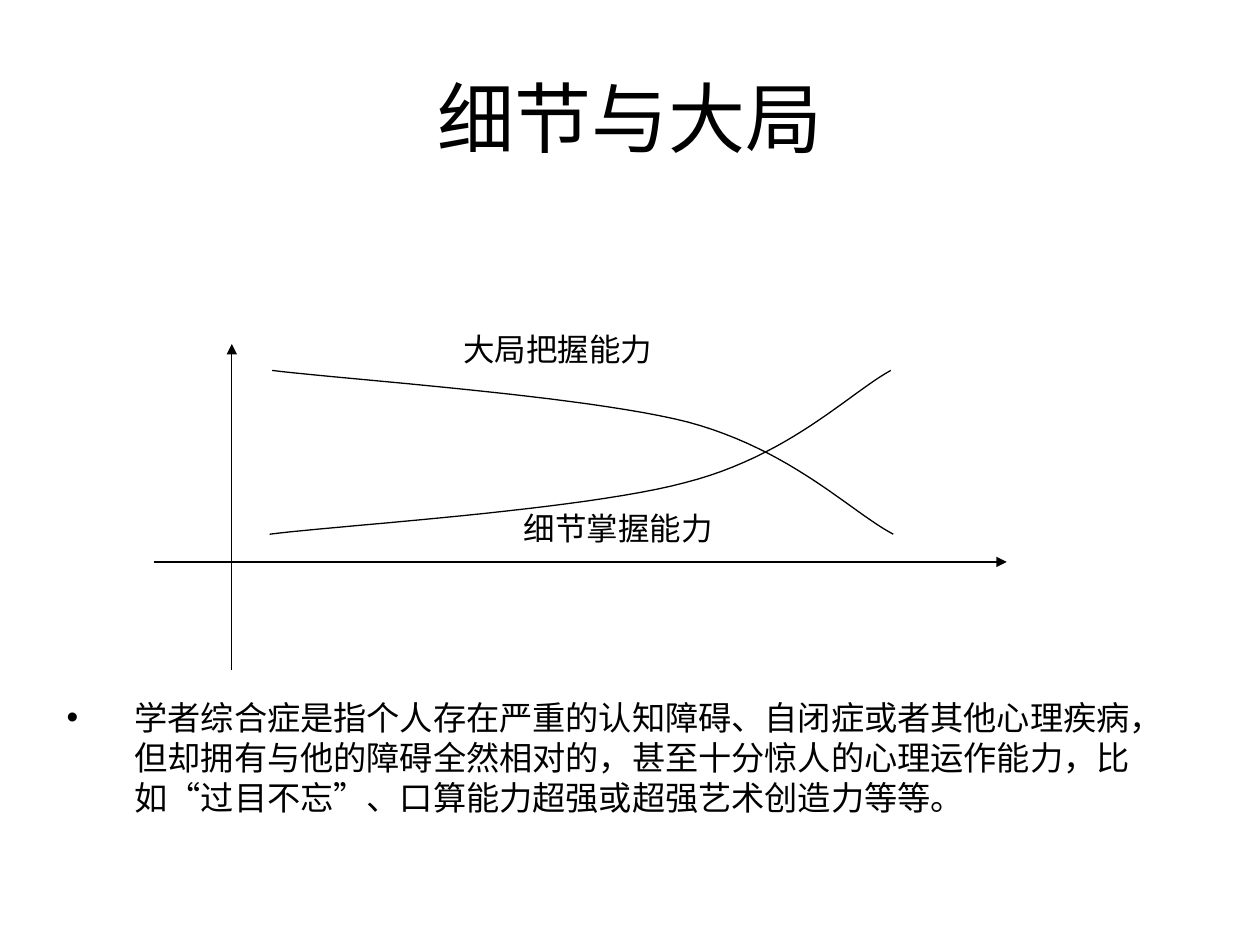
from dataclasses import dataclass

from lxml import etree
from pptx import Presentation
from pptx import util as u
from pptx.dml.color import RGBColor
from pptx.enum import shapes, text
from pptx.oxml.ns import qn

COLS, ROWS = 100, 75
CELL = u.Inches(10) // COLS
INK = "000000"
FONT = "Calibri"
STEPS = 24

Point = tuple[float, float]


@dataclass
class Label:
    words: str
    col: float
    row: float
    cols: float
    rows: float
    size: float
    frame: dict
    para: dict
    bullet: str = ""
    indent: float = 0


@dataclass
class Axis:
    start: Point
    end: Point


@dataclass
class Curve:
    start: Point
    segments: list[tuple[Point, Point, Point]]


def grid(n: float) -> int:
    return round(n * CELL)


def color(value: str) -> RGBColor:
    return RGBColor.from_string(value)


def apply(obj, values: dict) -> None:
    for name, value in values.items():
        setattr(obj, name, value)


def style_line(sp) -> None:
    sp.line.width = u.Pt(0.75)
    sp.line.color.rgb = color(INK)


def add_label(slide, label: Label) -> None:
    sp = slide.shapes.add_textbox(*map(grid, (label.col, label.row, label.cols, label.rows)))
    tf = sp.text_frame
    apply(tf, {"word_wrap": True, **label.frame})
    p = tf.paragraphs[0]
    apply(p, label.para)
    r = p.add_run()
    r.text = label.words
    apply(r.font, {"name": FONT, "size": u.Pt(label.size)})
    r.font.color.rgb = color(INK)
    if label.bullet:
        pPr = p._p.get_or_add_pPr()
        pPr.set("marL", str(grid(label.indent)))
        pPr.set("indent", str(-grid(label.indent)))
        etree.SubElement(pPr, qn("a:buFont"), typeface="Arial")
        etree.SubElement(pPr, qn("a:buChar"), char=label.bullet)


def add_axis(slide, axis: Axis) -> None:
    sp = slide.shapes.add_connector(
        shapes.MSO_CONNECTOR.STRAIGHT, *map(grid, axis.start + axis.end))
    style_line(sp)
    etree.SubElement(sp.line._get_or_add_ln(), qn("a:tailEnd"), type="triangle")
    etree.SubElement(sp._element.spPr, qn("a:effectLst"))


def bezier(a: Point, b: Point, c: Point, d: Point) -> list[Point]:
    points = []
    for i in range(1, STEPS + 1):
        t = i / STEPS
        s = 1 - t
        weights = (s ** 3, 3 * s * s * t, 3 * s * t * t, t ** 3)
        points.append(tuple(
            grid(sum(w * q[k] for w, q in zip(weights, (a, b, c, d)))) for k in (0, 1)))
    return points


def add_curve(slide, curve: Curve) -> None:
    builder = slide.shapes.build_freeform(*map(grid, curve.start))
    here = curve.start
    for segment in curve.segments:
        builder.add_line_segments(bezier(here, *segment), close=False)
        here = segment[-1]
    sp = builder.convert_to_shape()
    sp.shadow.inherit = False
    sp.fill.background()
    style_line(sp)


CAPTION = {"auto_size": text.MSO_AUTO_SIZE.SHAPE_TO_FIT_TEXT}

LABELS = [
    Label("细节与大局", 5, 3, 90, 12.5, 44,
          {"vertical_anchor": text.MSO_ANCHOR.MIDDLE}, {"alignment": text.PP_ALIGN.CENTER}),
    Label("大局把握能力", 35.8, 25.7, 25.2, 4, 18, CAPTION, {}),
    Label("细节掌握能力", 40.6, 39.9, 25.2, 4, 18, CAPTION, {}),
    Label("学者综合症是指个人存在严重的认知障碍、自闭症或者其他心理疾病，"
          "但却拥有与他的障碍全然相对的，甚至十分惊人的心理运作能力，"
          "比如“过目不忘”、口算能力超强或超强艺术创造力等等。",
          4.3, 54.8, 90, 11.7, 19, {}, {"line_spacing": u.Pt(22.9)}, "•", 5.4),
]

AXES = [
    Axis((12.2, 44.6), (79.9, 44.6)),
    Axis((18.4, 53.2), (18.4, 27.3)),
]

CURVES = [
    Curve((21.4, 42.4), [
        ((26.9, 41.7), (46.2, 40.5), (54.4, 38.3)),
        ((62.6, 36.2), (67.3, 31.3), (70.7, 29.4)),
    ]),
    Curve((21.6, 29.4), [
        ((27.1, 30.1), (46.4, 31.4), (54.6, 33.5)),
        ((62.8, 35.7), (67.5, 40.6), (70.9, 42.4)),
    ]),
]


def main() -> None:
    prs = Presentation()
    apply(prs, {"slide_width": grid(COLS), "slide_height": grid(ROWS)})
    slide = prs.slides.add_slide(prs.slide_layouts[6])
    for axis in AXES:
        add_axis(slide, axis)
    for curve in CURVES:
        add_curve(slide, curve)
    for label in LABELS:
        add_label(slide, label)
    prs.save("out.pptx")


if __name__ == "__main__":
    main()
